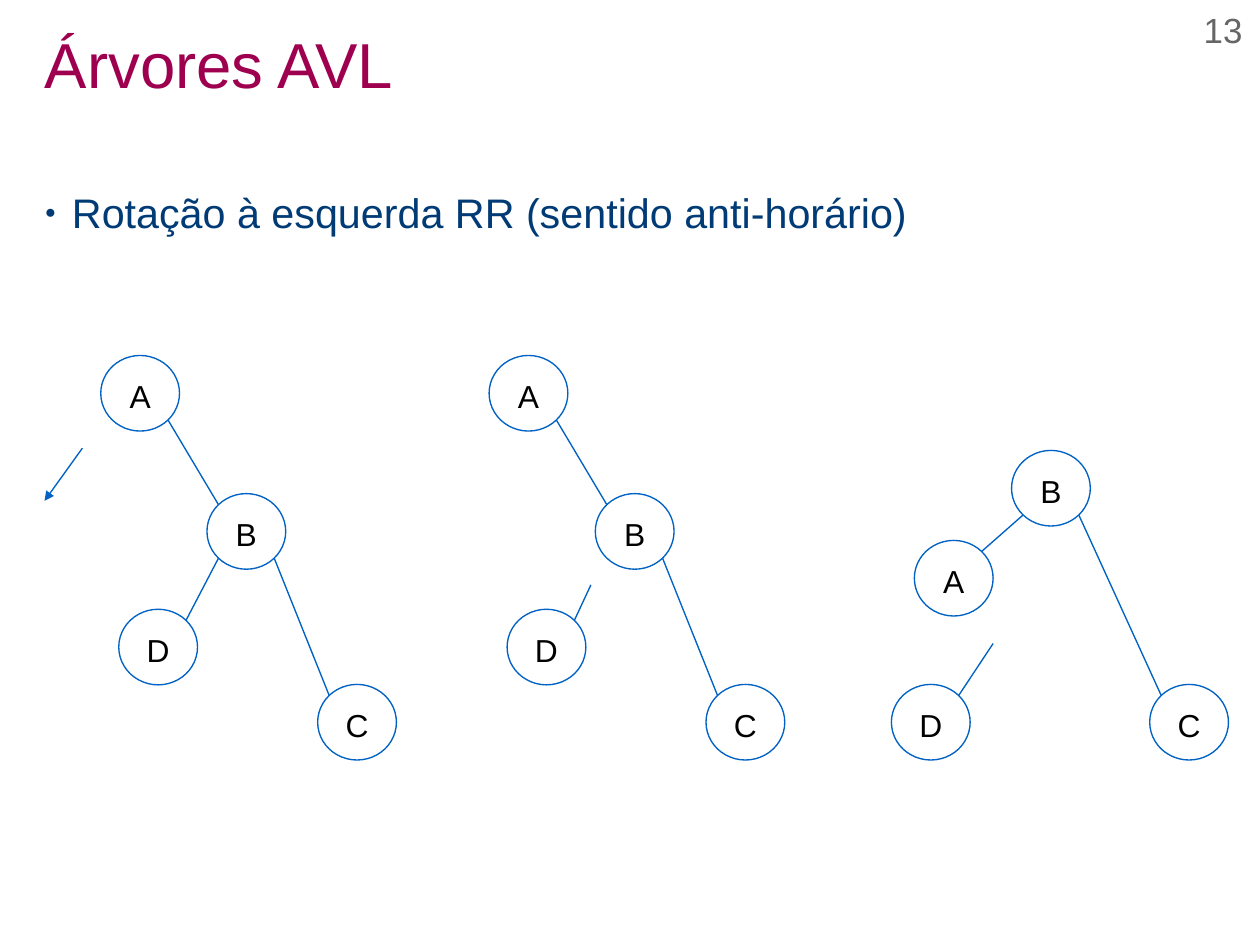
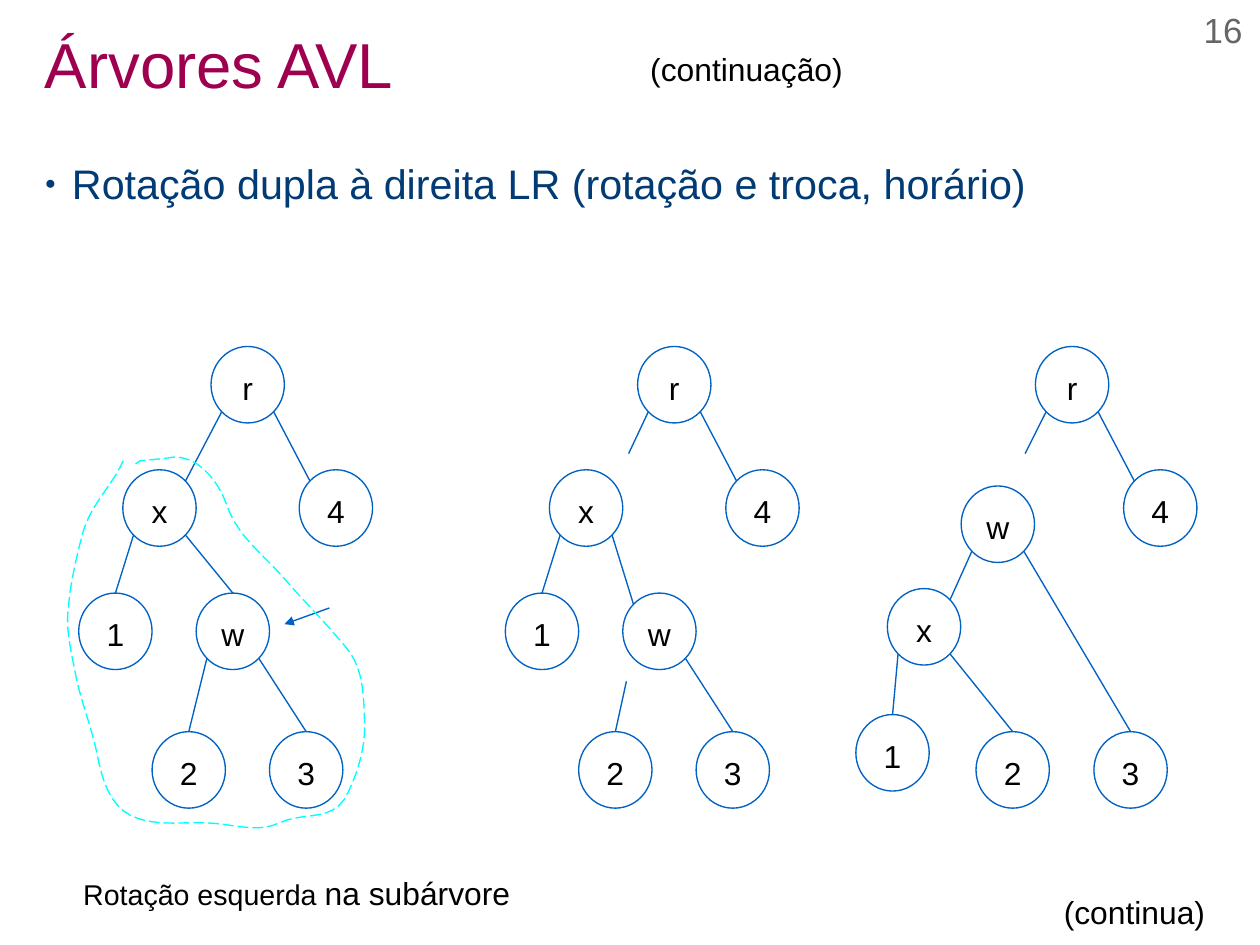
import pptx
import pptx.dml.color
import pptx.enum.dml
import pptx.enum.shapes
import pptx.enum.text
import pptx.oxml.ns
import pptx.util
from lxml import etree
from pptx.util import Cm

FONT = "Arial"
COLORS = {"title": "9E004F", "body": "003B76", "line": "0062C4",
          "outline": "00FFFF", "text": "000000", "number": "666666"}
RGB = {k: pptx.dml.color.RGBColor.from_string(v) for k, v in COLORS.items()}
LINE_WIDTH = pptx.util.Pt(0.85)
ALIGN = pptx.enum.text.PP_ALIGN
ANCHOR = pptx.enum.text.MSO_ANCHOR
CORNER = 0.146
SITES = {"t": (0.5, 0), "tl": (CORNER, CORNER), "tr": (1 - CORNER, CORNER),
         "bl": (CORNER, 1 - CORNER), "br": (1 - CORNER, 1 - CORNER)}
qn = pptx.oxml.ns.qn


def write(sp, parts, color, align=ALIGN.LEFT, spacing=1.0, inset=None):
    tf = sp.text_frame
    p = tf.paragraphs[0]
    p.alignment = align
    p.line_spacing = spacing
    p.space_before = pptx.util.Pt(0)
    for text, size in parts:
        r = p.add_run()
        r.text = text
        r.font.size = pptx.util.Pt(size)
        r.font.name = FONT
        r.font.color.rgb = RGB[color]
    if inset is not None:
        tf.margin_left = tf.margin_right = tf.margin_top = tf.margin_bottom = inset
    return tf


def add_line(s, start, end, arrow=False):
    cx = s.shapes.add_connector(pptx.enum.shapes.MSO_CONNECTOR.STRAIGHT,
                                Cm(start[0]), Cm(start[1]), Cm(end[0]), Cm(end[1]))
    cx.line.color.rgb = RGB["line"]
    cx.line.width = LINE_WIDTH
    sp_pr = cx._element.spPr
    if arrow:
        etree.SubElement(sp_pr.find(qn("a:ln")), qn("a:tailEnd"), type="triangle")
    etree.SubElement(sp_pr, qn("a:effectLst"))


rr_before = {"A": (2.24, 7.9), "B": (4.6, 10.97), "D": (2.64, 13.54), "C": (7.06, 15.21)}
rr_after = {"B": (22.48, 10.01), "A": (20.32, 12.01), "D": (19.81, 15.21), "C": (25.55, 15.21)}
rr_edges = [("A", "br", "B", "tl"), ("B", "br", "C", "tl")]

lr_before = {"r": (4.69, 7.7), "x": (2.73, 10.44), "4": (6.65, 10.44), "w": (4.36, 13.18),
             "1": (1.75, 13.18), "2": (3.38, 16.26), "3": (5.99, 16.26)}
lr_after = {"r": (23.01, 7.7), "x": (19.72, 13.08), "4": (24.97, 10.44), "w": (21.36, 10.8),
            "1": (19.02, 15.88), "2": (21.69, 16.26), "3": (24.31, 16.26)}
lr_edges = [("r", "br", "4", "tl"), ("x", "bl", "1", "t"), ("w", "br", "3", "t")]

slides = [
    {"number": "13", "bullet": "Rotação à esquerda RR (sentido anti-horário)",
     "top": 3.99, "spacing": 1.15, "node": (1.75, 1.68),
     "arrow": ((1.83, 9.96), (0.99, 11.13)),
     "trees": [
         (0, rr_before, rr_edges + [("B", "bl", "D", "tr")], []),
         (8.63, rr_before, rr_edges, [("D", "tr", (13.13, 13))]),
         (0, rr_after, [("B", "bl", "A", "tr"), ("B", "br", "C", "tl")],
          [("D", "tr", (22.07, 14.3))])],
     "notes": []},
    {"number": "16", "bullet": "Rotação dupla à direita LR (rotação e troca, horário)",
     "top": 3.51, "spacing": 1.0, "node": (1.63, 1.7),
     "arrow": ((7.32, 13.51), (6.32, 13.87)),
     "trees": [
         (0, lr_before, lr_edges + [("r", "bl", "x", "tr"), ("x", "br", "w", "t"),
                                    ("w", "bl", "2", "t")], []),
         (9.48, lr_before, lr_edges + [("x", "br", "w", "tl")],
          [("r", "bl", (13.97, 10.08)), ("2", "t", (13.92, 15.14))]),
         (0, lr_after, lr_edges + [("w", "bl", "x", "tr"), ("x", "br", "2", "t")],
          [("r", "bl", (22.78, 10.08))])],
     "notes": [
         ((1.6, 19.3, 10.21, 1.19), True, [("Rotação esquerda ", 18), ("na subárvore", 20)]),
         ((14.2, 0.97, 4.8, 1.04), False, [("(continuação)", 20)]),
         ((23.39, 19.71, 3.66, 1.04), False, [("(continua)", 20)])]},
]

subtree_start = (2.74, 10.24)
subtree_curves = [
    ((2.49, 10.8), (2.03, 11.2), (1.85, 11.81)),
    ((1.7, 12.37), (1.57, 12.93), (1.52, 13.49)),
    ((1.45, 14.02), (1.6, 14.55), (1.7, 15.09)),
    ((1.83, 15.67), (2.03, 16.15), (2.16, 16.76)),
    ((2.26, 17.32), (2.46, 18.01), (3.07, 18.19)),
    ((3.58, 18.36), (4.11, 18.26), (4.62, 18.29)),
    ((5.18, 18.31), (5.72, 18.52), (6.2, 18.29)),
    ((6.81, 18.01), (7.44, 18.31), (7.75, 17.58)),
    ((7.98, 17.09), (8.13, 16.56), (8.1, 16)),
    ((8.08, 15.44), (8.08, 14.86), (7.7, 14.4)),
    ((7.24, 13.84), (6.73, 13.34), (6.25, 12.78)),
    ((5.79, 12.27), (5.26, 11.89), (5.03, 11.2)),
    ((4.83, 10.64), (4.32, 10.01), (3.66, 10.19)),
]
subtree_tail = [(3.12, 10.24), (2.97, 10.34)]
STEPS = 10

prs = pptx.Presentation()
prs.slide_width, prs.slide_height = Cm(28), Cm(21)

for data in slides:
    s = prs.slides.add_slide(prs.slide_layouts[1])

    title = s.shapes.title
    title.left, title.top, title.width, title.height = Cm(1), Cm(0.5), Cm(26), Cm(2)
    tf = write(title, [("Árvores AVL", 40)], "title", spacing=0.9, inset=0)
    tf.vertical_anchor = ANCHOR.MIDDLE

    body = s.placeholders[1]
    body.left, body.top, body.width, body.height = Cm(1), Cm(data["top"]), Cm(26), Cm(16.5)
    pPr = body.text_frame.paragraphs[0]._p.get_or_add_pPr()
    pPr.set("marL", str(Cm(0.6)))
    pPr.set("indent", str(-Cm(0.6)))
    bu_clr = etree.SubElement(pPr, qn("a:buClr"))
    etree.SubElement(bu_clr, qn("a:srgbClr"), val=COLORS["body"])
    etree.SubElement(pPr, qn("a:buSzPct"), val="45000")
    etree.SubElement(pPr, qn("a:buFont"), typeface=FONT)
    etree.SubElement(pPr, qn("a:buChar"), char="●")
    tf = write(body, [(data["bullet"], 26)], "body", spacing=data["spacing"], inset=0)
    tf.auto_size = pptx.enum.text.MSO_AUTO_SIZE.NONE

    number = s.shapes.add_textbox(Cm(20.68), Cm(0.2), Cm(6.93), Cm(1.17))
    tf = write(number, [(data["number"], 22)], "number", ALIGN.RIGHT, inset=0)
    tf.word_wrap = True

    w, h = data["node"]
    for shift, nodes, edges, loose_edges in data["trees"]:
        sites = {}
        for name, (x, y) in nodes.items():
            sp = s.shapes.add_shape(pptx.enum.shapes.MSO_SHAPE.OVAL,
                                    Cm(x + shift), Cm(y), Cm(w), Cm(h))
            sp.shadow.inherit = False
            sp.fill.background()
            sp.line.color.rgb = RGB["line"]
            sp.line.width = LINE_WIDTH
            tf = write(sp, [(name, 20)], "text", ALIGN.CENTER, 1.15)
            tf.vertical_anchor = ANCHOR.MIDDLE
            for site, (fx, fy) in SITES.items():
                sites[name, site] = (x + shift + fx * w, y + fy * h)
        for parent, start, child, end in edges:
            add_line(s, sites[parent, start], sites[child, end])
        for name, site, point in loose_edges:
            add_line(s, sites[name, site], point)
    add_line(s, *data["arrow"], arrow=True)

    for box, wrap, parts in data["notes"]:
        note = s.shapes.add_textbox(*[Cm(v) for v in box])
        write(note, parts, "text").word_wrap = wrap

points = []
p0 = subtree_start
for p1, p2, p3 in subtree_curves:
    for i in range(1, STEPS + 1):
        t = i / STEPS
        u = 1 - t
        points.append([u**3 * a + 3 * u * u * t * b + 3 * u * t * t * c + t**3 * d
                       for a, b, c, d in zip(p0, p1, p2, p3)])
    p0 = p3
points += subtree_tail

fb = s.shapes.build_freeform(Cm(subtree_start[0]), Cm(subtree_start[1]))
fb.add_line_segments([(Cm(x), Cm(y)) for x, y in points], close=False)
subtree = fb.convert_to_shape()
subtree.shadow.inherit = False
subtree.fill.background()
subtree.line.color.rgb = RGB["outline"]
subtree.line.width = LINE_WIDTH
subtree.line.dash_style = pptx.enum.dml.MSO_LINE.LONG_DASH

prs.save("out.pptx")
